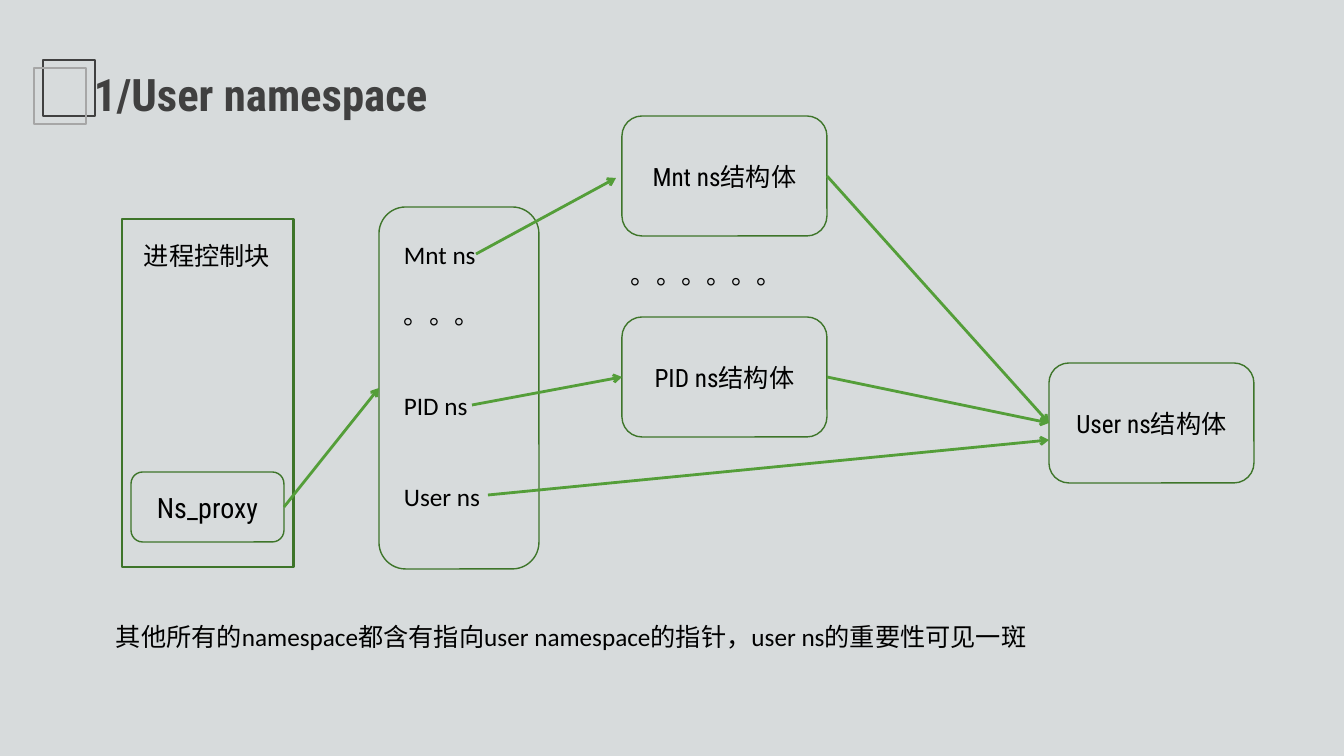
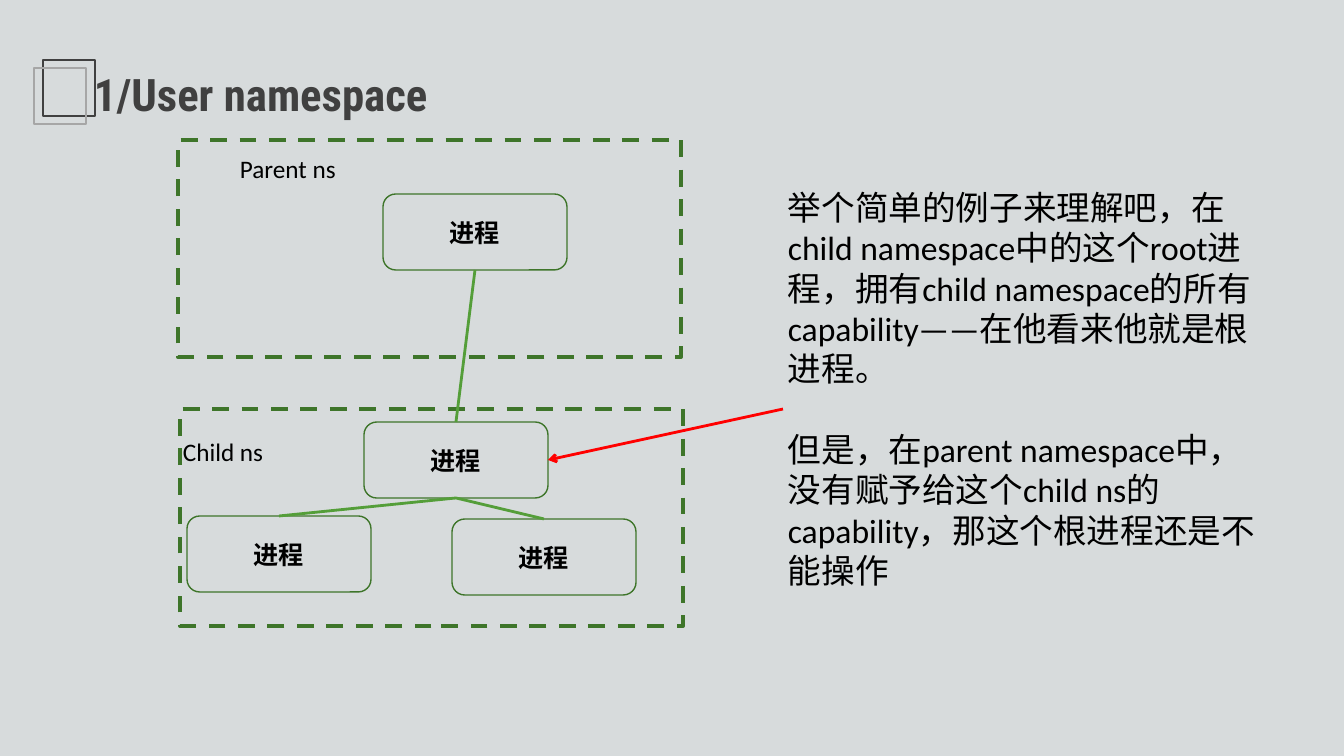
"""Two diagram slides that explain user namespaces."""
import dataclasses
import typing

import lxml.etree
import pptx
import pptx.dml.color
import pptx.enum.dml
import pptx.enum.lang
import pptx.enum.shapes
import pptx.enum.text
import pptx.oxml.ns
import pptx.shapes.autoshape
import pptx.slide
import pptx.util

Color = pptx.dml.color.RGBColor
Kind = pptx.enum.shapes.MSO_SHAPE
Shape = pptx.shapes.autoshape.Shape
Slide = pptx.slide.Slide

EMU_PER_PIXEL = 914400 / 100.8
TOP, LEFT, BOTTOM, RIGHT = range(4)


@dataclasses.dataclass(frozen=True)
class Theme:
    """Colours, fonts, type sizes and line widths of the deck."""
    background: Color = Color.from_string("D7DBDC")
    title: Color = Color.from_string("404040")
    pale: Color = Color.from_string("A6A6A6")
    text: Color = Color.from_string("000000")
    outline: Color = Color.from_string("3E752A")
    link: Color = Color.from_string("549E39")
    alert: Color = Color.from_string("FF0000")
    body_font: str = "Calibri"
    box_font: str = "Roboto Condensed"
    title_size: int = 32
    large_size: int = 24
    proxy_size: int = 20
    body_size: int = 18
    line_pitch: float = 1.2
    thin: int = 1
    medium: int = 2
    thick: int = 3


THEME = Theme()


class Area(typing.NamedTuple):
    """Place and size in pixels."""
    left: int
    top: int
    width: int
    height: int


class Point(typing.NamedTuple):
    """A free line end in pixels."""
    x: int
    y: int


class Site(typing.NamedTuple):
    """A line end attached to one side of a shape."""
    shape: Shape
    side: int


End = typing.Union[Point, Site]


@dataclasses.dataclass(frozen=True)
class Style:
    """Look of a piece of text."""
    size: int = THEME.body_size
    font: str = THEME.body_font
    color: Color = THEME.text
    bold: bool = False


@dataclasses.dataclass(frozen=True)
class Line:
    """One paragraph and the number of line heights left free above it."""
    text: str
    gap: int = 0


@dataclasses.dataclass(frozen=True)
class Node:
    """A rounded box with a centred label."""
    area: Area
    text: str
    style: Style


@dataclasses.dataclass(frozen=True)
class Link:
    """A straight line between two ends."""
    start: End
    end: End
    color: Color = THEME.link
    arrow: bool = True


BODY = Style()
LARGE = Style(size=THEME.large_size)
BOX = Style(font=THEME.box_font)
BOLD_BOX = Style(font=THEME.box_font, bold=True)
PROXY = Style(size=THEME.proxy_size, font=THEME.box_font)
TITLE = Style(THEME.title_size, THEME.box_font, THEME.title, True)


def px(pixels: int) -> pptx.util.Emu:
    """Turn pixels into EMU."""
    return pptx.util.Emu(round(pixels * EMU_PER_PIXEL))


def write(shape: Shape, lines: typing.Sequence[Line], style: Style) -> None:
    """Put styled paragraphs into a shape."""
    frame = shape.text_frame
    frame.word_wrap = True
    for index, line in enumerate(lines):
        para = frame.add_paragraph() if index else frame.paragraphs[0]
        para.space_before = pptx.util.Pt(line.gap * style.size * THEME.line_pitch)
        span = para.add_run()
        span.text = line.text
        span.font.name = style.font
        span.font.size = pptx.util.Pt(style.size)
        span.font.bold = style.bold
        span.font.color.rgb = style.color
        span.font.language_id = pptx.enum.lang.MSO_LANGUAGE_ID.SIMPLIFIED_CHINESE


def add_text(page: Slide, area: Area, lines: typing.Sequence[Line],
             style: Style = BODY) -> None:
    """Add a wrapping text box that fits its text."""
    box = page.shapes.add_textbox(*map(px, area))
    write(box, lines, style)
    box.text_frame.auto_size = pptx.enum.text.MSO_AUTO_SIZE.SHAPE_TO_FIT_TEXT


def add_outline(page: Slide, area: Area, kind: Kind = Kind.RECTANGLE,
                color: Color = THEME.outline, width: int = THEME.thin,
                dashed: bool = False) -> Shape:
    """Add an unfilled shape."""
    box = page.shapes.add_shape(kind, *map(px, area))
    box.shadow.inherit = False
    box.fill.background()
    box.line.color.rgb = color
    box.line.width = pptx.util.Pt(width)
    if dashed:
        box.line.dash_style = pptx.enum.dml.MSO_LINE_DASH_STYLE.DASH
    return box


def add_node(page: Slide, node: Node) -> Shape:
    """Add a rounded box with its label."""
    box = add_outline(page, node.area, Kind.ROUNDED_RECTANGLE)
    write(box, [Line(node.text)], node.style)
    box.text_frame.vertical_anchor = pptx.enum.text.MSO_ANCHOR.MIDDLE
    box.text_frame.paragraphs[0].alignment = pptx.enum.text.PP_ALIGN.CENTER
    return box


def add_link(page: Slide, link: Link) -> None:
    """Draw a line, attached to shapes where its ends are sites."""
    start, end = (Point(0, 0) if isinstance(tip, Site) else tip
                  for tip in (link.start, link.end))
    connector = page.shapes.add_connector(
        pptx.enum.shapes.MSO_CONNECTOR.STRAIGHT, *map(px, (*start, *end)))
    if isinstance(link.start, Site):
        connector.begin_connect(*link.start)
    if isinstance(link.end, Site):
        connector.end_connect(*link.end)
    connector.line.color.rgb = link.color
    connector.line.width = pptx.util.Pt(THEME.medium)
    qn = pptx.oxml.ns.qn
    properties = connector._element.spPr
    if link.arrow:
        stroke = properties.find(qn("a:ln"))
        lxml.etree.SubElement(stroke, qn("a:tailEnd"), type="arrow")
    lxml.etree.SubElement(properties, qn("a:effectLst"))


def add_page(deck: pptx.presentation.Presentation, title: str) -> Slide:
    """Add a blank page with the title and its two squares."""
    page = deck.slides.add_slide(deck.slide_layouts[6])
    add_outline(page, Area(43, 60, 52, 56), color=THEME.title)
    add_outline(page, Area(34, 68, 52, 56), color=THEME.pale)
    add_text(page, Area(84, 62, 681, 65), [Line(title)], TITLE)
    return page


def build_pointers(page: Slide) -> None:
    """Show how a process reaches its namespace structures."""
    add_outline(page, Area(122, 219, 172, 348), width=THEME.medium)
    add_text(page, Area(134, 235, 154, 40), [Line("进程控制块")])
    proxy = add_node(page, Node(Area(131, 472, 153, 70), "Ns_proxy", PROXY))
    table = add_outline(page, Area(379, 207, 160, 362), Kind.ROUNDED_RECTANGLE)
    add_text(page, Area(394, 234, 135, 285), [
        Line("Mnt ns"), Line("。。。", 1), Line("PID ns", 2), Line("User ns", 2)])
    add_text(page, Area(106, 616, 1066, 40), [Line(
        "其他所有的namespace都含有指向user namespace的指针，"
        "user ns的重要性可见一斑")])
    mount, pid, user = (
        add_node(page, Node(Area(left, top, 205, 120), f"{name} ns结构体", BOX))
        for name, left, top in (
            ("Mnt", 622, 116), ("PID", 622, 317), ("User", 1049, 363)))
    add_text(page, Area(621, 254, 215, 40), [Line("。。。。。。")])
    for link in (
        Link(Site(proxy, RIGHT), Site(table, LEFT)),
        Link(Point(476, 254), Point(616, 178)),
        Link(Point(472, 405), Site(pid, LEFT)),
        Link(Point(488, 495), Point(1049, 440)),
        Link(Site(mount, RIGHT), Site(user, LEFT)),
        Link(Site(pid, RIGHT), Site(user, LEFT)),
    ):
        add_link(page, link)


def build_example(page: Slide) -> None:
    """Show the root process of a child namespace."""
    for frame, label, name in (
        (Point(178, 140), Point(230, 148), "Parent ns"),
        (Point(180, 409), Point(173, 431), "Child ns"),
    ):
        add_outline(page, Area(*frame, 503, 217), width=THEME.thick, dashed=True)
        add_text(page, Area(*label, 188, 40), [Line(name)])
    parent, root, right, left = (
        add_node(page, Node(Area(*corner, 184, 76), "进程", BOLD_BOX))
        for corner in ((383, 194), (364, 422), (452, 519), (187, 516)))
    for link in (
        Link(Site(parent, BOTTOM), Site(root, TOP), arrow=False),
        Link(Site(left, TOP), Site(root, BOTTOM), arrow=False),
        Link(Site(root, BOTTOM), Site(right, TOP), arrow=False),
        Link(Point(783, 409), Site(root, RIGHT), THEME.alert),
    ):
        add_link(page, link)
    add_text(page, Area(778, 182, 487, 417), [
        Line("举个简单的例子来理解吧，在child namespace中的这个root进程，"
             "拥有child namespace的所有capability——在他看来他就是根进程。"),
        Line("但是，在parent namespace中，没有赋予给这个child ns的capability，"
             "那这个根进程还是不能操作", 1)], LARGE)


def main() -> None:
    """Build and save the deck."""
    deck = pptx.Presentation()
    deck.slide_width, deck.slide_height = px(1344), px(756)
    fill = deck.slide_master.background.fill
    fill.solid()
    fill.fore_color.rgb = THEME.background
    for build in (build_pointers, build_example):
        build(add_page(deck, "1/User namespace"))
    deck.save("out.pptx")


main()
